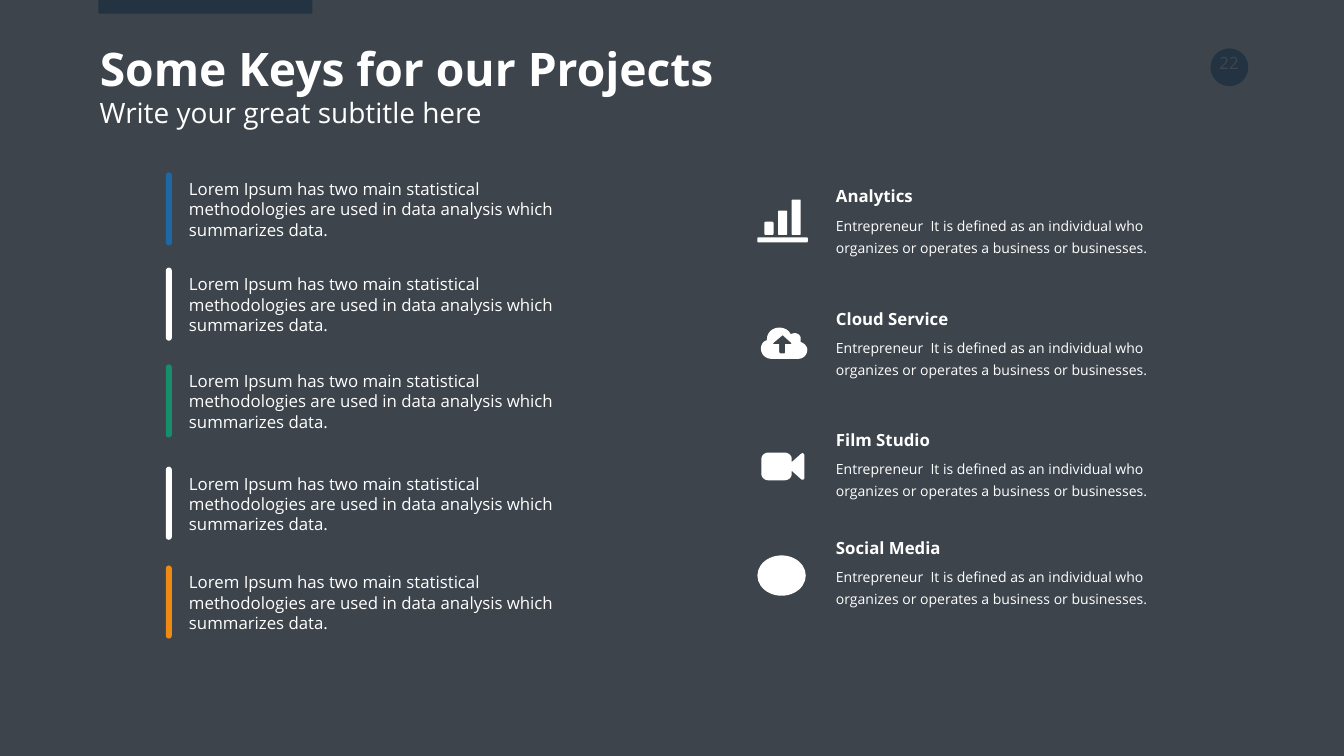
import pptx
import pptx.dml.color
import pptx.enum.shapes
import pptx.enum.text
import pptx.oxml.ns
import pptx.util
from dataclasses import dataclass
from lxml import etree

Inches = pptx.util.Inches
RGBColor = pptx.dml.color.RGBColor
SHAPE = pptx.enum.shapes.MSO_SHAPE
ALIGN = pptx.enum.text.PP_ALIGN

FONT = "Open Sans"
PAPER = RGBColor(0xF6, 0xF7, 0xFA)
SLATE = RGBColor(0x24, 0x2C, 0x34)
WHITE = RGBColor(0xFF, 0xFF, 0xFF)
BLUE = RGBColor(0x1D, 0x68, 0xA6)
GREEN = RGBColor(0x17, 0x8E, 0x6B)
ORANGE = RGBColor(0xEE, 0x8A, 0x12)

NOTE = ("Lorem Ipsum has two main statistical methodologies are used "
        "in data analysis which summarizes data.")
BLURB = ("Entrepreneur  It is defined as an individual who organizes "
         "or operates a business or businesses.")


@dataclass
class Note:
    top: float
    color: RGBColor


@dataclass
class Topic:
    top: float
    name: str


NOTES = [Note(3.42, BLUE), Note(5.31, WHITE), Note(7.23, GREEN),
         Note(9.26, WHITE), Note(11.22, ORANGE)]
TOPICS = [Topic(3.52, "Analytics"), Topic(5.95, "Cloud Service"),
          Topic(8.35, "Film Studio"), Topic(10.5, "Social Media")]


def round_box(x: float, y: float, w: float, h: float, r: float) -> list:
    """Outline of a rounded box: pairs are lines, sixes are cubic curves."""
    right, low = x + w, y + h
    return [(x + r, y), (right - r, y), (right, y, right, y, right, y + r),
            (right, low - r), (right, low, right, low, right - r, low),
            (x + r, low), (x, low, x, low, x, low - r),
            (x, y + r), (x, y, x, y, x + r, y)]


BARS = [round_box(15.03, 4.71, 1, 0.1, 0.04)] + [
    round_box(15.17 + 0.27 * i, top, 0.18, 4.66 - top, 0.04)
    for i, top in enumerate((4.4, 4.18, 3.96))]

CLOUD = [
    [(15.84, 7.12), (15.31, 7.12), (15.19, 7.12, 15.1, 7.03, 15.1, 6.92),
     (15.1, 6.84, 15.14, 6.77, 15.22, 6.75), (15.22, 6.72),
     (15.22, 6.6, 15.33, 6.5, 15.46, 6.5),
     (15.57, 6.5, 15.65, 6.55, 15.69, 6.63),
     (15.72, 6.62, 15.75, 6.61, 15.77, 6.61),
     (15.84, 6.61, 15.89, 6.66, 15.89, 6.72),
     (15.89, 6.75, 15.89, 6.77, 15.88, 6.78),
     (15.96, 6.81, 16.02, 6.87, 16.02, 6.94),
     (16.02, 7.04, 15.94, 7.12, 15.84, 7.12)],
    [(15.71, 6.81), (15.53, 6.65), (15.34, 6.81), (15.35, 6.83),
     (15.46, 6.83), (15.46, 6.99), (15.48, 7.01), (15.57, 7.01),
     (15.58, 6.99), (15.58, 6.83), (15.69, 6.83)]]

CAMERA = [
    [(15.96, 9.49), (15.96, 9.51, 15.93, 9.53, 15.9, 9.51), (15.71, 9.34),
     (15.71, 9.41), (15.71, 9.47, 15.65, 9.53, 15.57, 9.53), (15.25, 9.53),
     (15.17, 9.53, 15.11, 9.47, 15.11, 9.41), (15.11, 9.1),
     (15.11, 9.04, 15.17, 8.98, 15.25, 8.98), (15.57, 8.98),
     (15.65, 8.98, 15.71, 9.04, 15.71, 9.1), (15.71, 9.17), (15.9, 9),
     (15.93, 8.98, 15.96, 9, 15.96, 9.03)]]


def trace(steps: list, count: int = 8) -> list:
    """Turn lines and cubic curves into points in EMU."""
    points = []
    for step in steps:
        if len(step) == 2:
            points.append(step)
            continue
        ends = [points[-1], step[:2], step[2:4], step[4:]]
        for i in range(1, count + 1):
            t = i / count
            weights = ((1 - t) ** 3, 3 * t * (1 - t) ** 2,
                       3 * t * t * (1 - t), t ** 3)
            points.append(tuple(sum(w * p[k] for w, p in zip(weights, ends))
                                for k in (0, 1)))
    return [(Inches(x), Inches(y)) for x, y in points]


def paint(shape, color: RGBColor) -> None:
    shape.shadow.inherit = False
    shape.fill.solid()
    shape.fill.fore_color.rgb = color
    shape.line.fill.background()


def block(shapes, kind, left: float, top: float, width: float, height: float,
          color: RGBColor):
    shape = shapes.add_shape(kind, Inches(left), Inches(top),
                             Inches(width), Inches(height))
    paint(shape, color)
    return shape


def icon(shapes, loops: list) -> None:
    first, *rest = [trace(loop) for loop in loops]
    pen = shapes.build_freeform(*first[0], scale=1.0)
    pen.add_line_segments(first[1:], close=True)
    for loop in rest:
        pen.move_to(*loop[0])
        pen.add_line_segments(loop[1:], close=True)
    paint(pen.convert_to_shape(), WHITE)


def write(frame, text: str, *, size: float, bold: bool = False,
          align=ALIGN.LEFT, spacing: float = 1.0,
          inset: tuple = (0.1, 0.05)) -> None:
    frame.word_wrap = True
    frame.auto_size = pptx.enum.text.MSO_AUTO_SIZE.NONE
    frame.vertical_anchor = pptx.enum.text.MSO_ANCHOR.TOP
    frame.margin_left = frame.margin_right = Inches(inset[0])
    frame.margin_top = frame.margin_bottom = Inches(inset[1])
    frame.text = text
    line = frame.paragraphs[0]
    line.alignment = align
    line.line_spacing = spacing
    font = line.runs[0].font
    font.name, font.size, font.bold = FONT, pptx.util.Pt(size), bold
    font.color.rgb = WHITE


def label(shapes, left: float, top: float, width: float, height: float,
          text: str, **style) -> None:
    box = shapes.add_textbox(Inches(left), Inches(top),
                             Inches(width), Inches(height))
    write(box.text_frame, text, **style)


def backdrop(slide) -> None:
    """Page mark and top tab, dimmed by a see-through cover."""
    slide.background.fill.solid()
    slide.background.fill.fore_color.rgb = PAPER
    shapes = slide.shapes
    block(shapes, SHAPE.OVAL, 24.02, 0.96, 0.75, 0.75, BLUE)
    label(shapes, 23.89, 1, 1, 0.55, "22", size=24, align=ALIGN.CENTER)
    block(shapes, SHAPE.RECTANGLE, 1.95, 0, 4.25, 0.27, BLUE)
    cover = block(shapes, SHAPE.RECTANGLE, 0, 0, 26.67, 15, SLATE)
    tint = cover.element.find(".//" + pptx.oxml.ns.qn("a:srgbClr"))
    etree.SubElement(tint, pptx.oxml.ns.qn("a:alpha"), val="88000")


def heading(slide) -> None:
    title = slide.shapes.title
    title.left, title.top = Inches(1.88), Inches(0.74)
    title.width, title.height = Inches(22.9), Inches(1.24)
    write(title.text_frame, "Some Keys for our Projects", size=66, bold=True)
    slide.shapes.element.append(title.element)  # above the cover
    label(slide.shapes, 1.88, 1.84, 22.9, 0.93,
          "Write your great subtitle here", size=40)


def main() -> None:
    deck = pptx.Presentation()
    deck.slide_width, deck.slide_height = Inches(26.67), Inches(15)
    slide = deck.slides.add_slide(deck.slide_layouts[5])
    shapes = slide.shapes
    backdrop(slide)
    for note in NOTES:
        label(shapes, 3.51, note.top + 0.01, 7.9, 1.45, NOTE,
              size=24, inset=(0.24, 0.12))
        bar = block(shapes, SHAPE.ROUND_2_SAME_RECTANGLE,
                    3.29, note.top, 0.12, 1.45, note.color)
        bar.adjustments[0] = bar.adjustments[1] = 0.5
    for topic in TOPICS:
        group = shapes.add_group_shape().shapes
        label(group, 16.49, topic.top + 0.64, 6.84, 0.94, BLURB,
              size=20, spacing=1.3)
        label(group, 16.49, topic.top, 6.84, 0.62, topic.name,
              size=24, bold=True, spacing=1.3)
    for loops in (BARS, CLOUD, CAMERA):
        icon(shapes, loops)
    block(shapes, SHAPE.OVAL, 15.03, 11.02, 0.96, 0.8, WHITE)
    heading(slide)
    deck.save("out.pptx")


if __name__ == "__main__":
    main()
